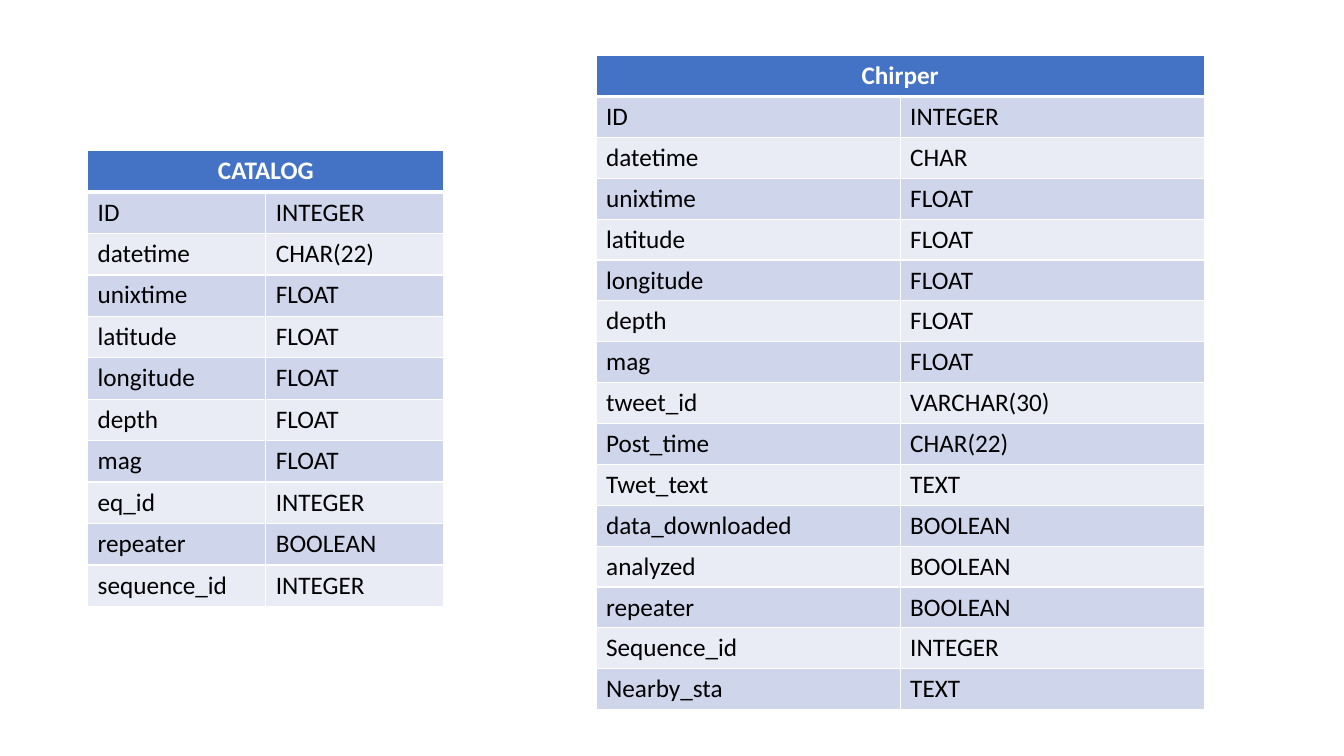
import pptx
import pptx.util
import pptx.dml.color
import pptx.enum.text
import pptx.oxml
import pptx.oxml.ns
import lxml.etree

Pt = pptx.util.Pt
COLORS = {"header": "4472C4", "odd": "CFD5EA", "even": "E9EBF5",
          "border": "FFFFFF", "header_text": "FFFFFF", "text": "000000"}


def rgb(name):
    return pptx.dml.color.RGBColor.from_string(COLORS[name])


def add_borders(cell, widths):
    """Insert border lines ahead of the fill, in schema order."""
    properties = cell._tc.get_or_add_tcPr()
    for index, (side, width) in enumerate(widths.items()):
        line = lxml.etree.Element(pptx.oxml.ns.qn(f"a:ln{side}"), w=str(Pt(width)))
        fill = lxml.etree.SubElement(line, pptx.oxml.ns.qn("a:solidFill"))
        lxml.etree.SubElement(fill, pptx.oxml.ns.qn("a:srgbClr"), val=COLORS["border"])
        properties.insert(index, line)


presentation = pptx.Presentation()
presentation.slide_width, presentation.slide_height = Pt(960), Pt(540)
slide = presentation.slides.add_slide(presentation.slide_layouts[6])

# Fields of each database table
shared_fields = [("unixtime", "FLOAT"), ("latitude", "FLOAT"), ("longitude", "FLOAT"),
                 ("depth", "FLOAT"), ("mag", "FLOAT")]
catalog_fields = [("ID", "INTEGER"), ("datetime", "CHAR(22)"), *shared_fields,
                  ("eq_id", "INTEGER"), ("repeater", "BOOLEAN"), ("sequence_id", "INTEGER")]
post_fields = [("ID", "INTEGER"), ("datetime", "CHAR"), *shared_fields,
               ("tweet_id", "VARCHAR(30)"), ("Post_time", "CHAR(22)"), ("Twet_text", "TEXT"),
               ("data_downloaded", "BOOLEAN"), ("analyzed", "BOOLEAN"),
               ("repeater", "BOOLEAN"), ("Sequence_id", "INTEGER"), ("Nearby_sta", "TEXT")]

# Title, fields, left, top, width, row height
schemas = [("CATALOG", catalog_fields, 62.6, 107.6, 254.6, 29.6),
           ("Chirper", post_fields, 425.8, 39.7, 434.4, 28.8)]

for title, fields, left, top, width, row_height in schemas:
    rows = [(title, ""), *fields]
    schema = slide.shapes.add_table(len(rows), 2, Pt(left), Pt(top), Pt(width),
                                    Pt(row_height * len(rows))).table
    schema.cell(0, 0).merge(schema.cell(0, 1))

    for row, values in enumerate(rows):
        is_header = row == 0
        band = "header" if is_header else "odd" if row % 2 else "even"
        font_format = {"name": "Calibri", "size": Pt(18), "bold": is_header}
        for column, value in enumerate(values):
            cell = schema.cell(row, column)
            cell.fill.solid()
            cell.fill.fore_color.rgb = rgb(band)
            add_borders(cell, {"L": 1, "R": 1, "T": 3 if row == 1 else 1,
                               "B": 3 if is_header else 1})
            if not value:
                continue
            paragraph = cell.text_frame.paragraphs[0]
            if is_header:
                paragraph.alignment = pptx.enum.text.PP_ALIGN.CENTER
            run = paragraph.add_run()
            run.text = value
            for attribute, setting in font_format.items():
                setattr(run.font, attribute, setting)
            run.font.color.rgb = rgb("header_text" if is_header else "text")

presentation.save("out.pptx")
